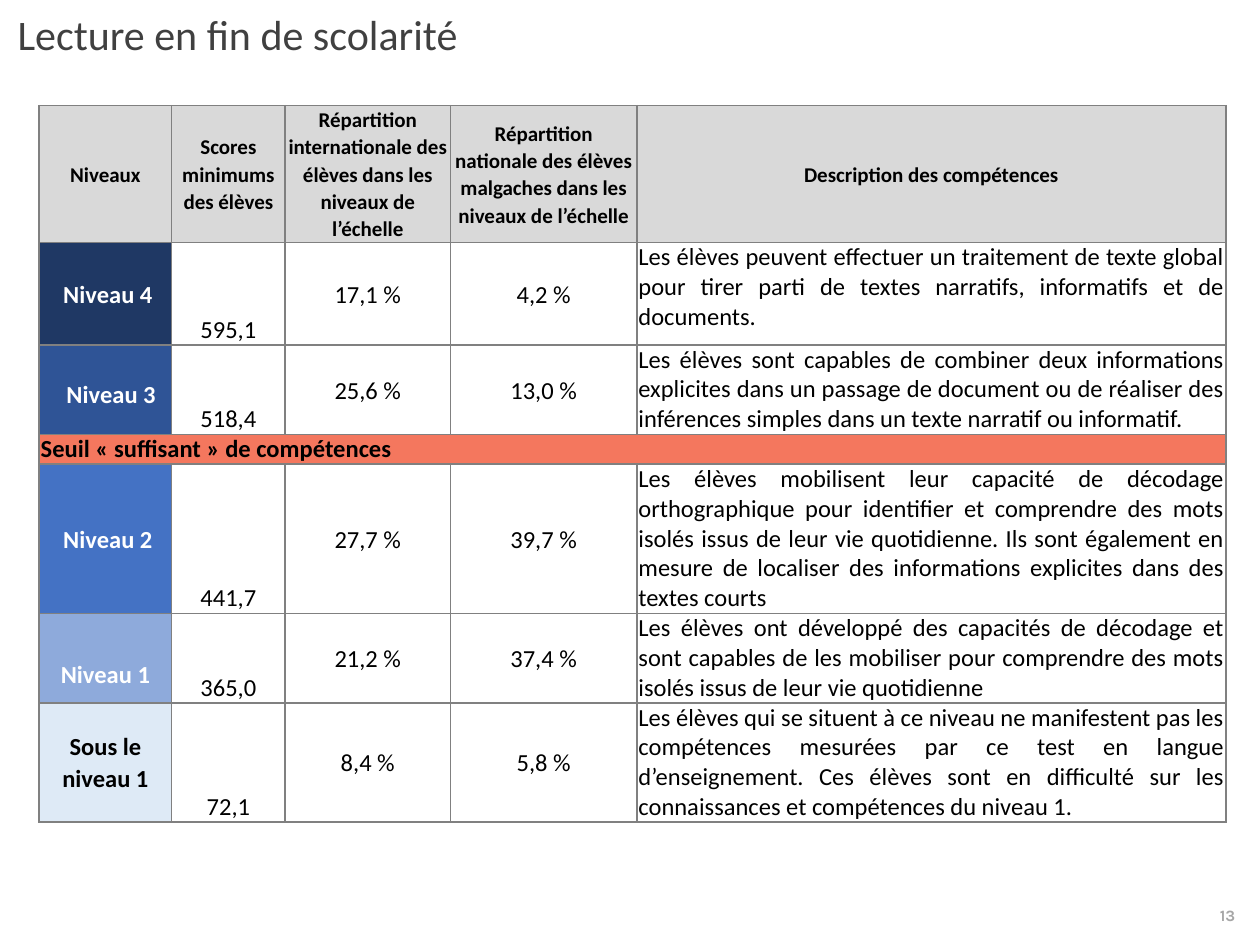
"""Build the slide on reading levels at the end of primary school."""
from lxml import etree
from pptx import Presentation
from pptx import util as u
from pptx.dml.color import RGBColor
from pptx.enum import text
from pptx.oxml.ns import qn

CENTER, JUSTIFY = text.PP_ALIGN.CENTER, text.PP_ALIGN.JUSTIFY
TOP, MIDDLE, BOTTOM = text.MSO_ANCHOR.TOP, text.MSO_ANCHOR.MIDDLE, text.MSO_ANCHOR.BOTTOM


def write(frame, wording, size, color="000000", bold=False, align=CENTER, font="Calibri", spacing=1.0):
    paragraph = frame.paragraphs[0]
    paragraph.alignment = align
    paragraph.line_spacing = spacing
    paragraph.space_before = u.Pt(0)
    run = paragraph.add_run()
    run.text = wording
    run.font.name, run.font.size, run.font.bold = font, u.Pt(size), bold
    run.font.color.rgb = RGBColor.from_string(color)


def fill_cell(cell, wording, size=14, fill=None, anchor=MIDDLE, left=0.03, top=0, **style):
    cell.margin_left, cell.margin_right = u.Cm(left), u.Cm(0.03)
    cell.margin_top, cell.margin_bottom = u.Cm(top), u.Cm(0)
    cell.vertical_anchor = anchor
    properties = cell._tc.get_or_add_tcPr()
    for side in ("a:lnL", "a:lnR", "a:lnT", "a:lnB"):
        border = etree.SubElement(properties, qn(side), w=str(u.Pt(1)))
        paint = etree.SubElement(border, qn("a:solidFill"))
        etree.SubElement(paint, qn("a:srgbClr"), val="808080")
    if fill:
        cell.fill.solid()
        cell.fill.fore_color.rgb = RGBColor.from_string(fill)
    else:
        cell.fill.background()
    if wording:
        write(cell.text_frame, wording, size, **style)


prs = Presentation()
prs.slide_width, prs.slide_height = u.Cm(25.4), u.Cm(19.05)
slide = prs.slides.add_slide(prs.slide_layouts[5])

title = slide.shapes.title
title.left, title.top, title.width, title.height = u.Cm(0.1), u.Cm(0.05), u.Cm(25.3), u.Cm(1.28)
title.text_frame.vertical_anchor = TOP
write(title.text_frame, "Lecture en fin de scolarité", 24, "404040", align=JUSTIFY)

headings = [
    "Niveaux",
    "Scores minimums des élèves",
    "Répartition internationale des élèves dans les niveaux de l’échelle",
    "Répartition nationale des élèves malgaches dans les niveaux de l’échelle",
    "Description des compétences",
]
levels = [
    ("Niveau 4", "595,1", "17,1 %", "4,2 %",
     "Les élèves peuvent effectuer un traitement de texte global pour tirer parti de textes "
     "narratifs, informatifs et de documents."),
    ("Niveau 3", "518,4", "25,6 %", "13,0 %",
     "Les élèves sont capables de combiner deux informations explicites dans un passage de "
     "document ou de réaliser des inférences simples dans un texte narratif ou informatif."),
    ("Niveau 2", "441,7", "27,7 %", "39,7 %",
     "Les élèves mobilisent leur capacité de décodage orthographique pour identifier et "
     "comprendre des mots isolés issus de leur vie quotidienne. Ils sont également en mesure de "
     "localiser des informations explicites dans des textes courts"),
    ("Niveau 1", "365,0", "21,2 %", "37,4 %",
     "Les élèves ont développé des capacités de décodage et sont capables de les mobiliser pour "
     "comprendre des mots isolés issus de leur vie quotidienne"),
    ("Sous le niveau 1", "72,1", "8,4 %", "5,8 %",
     "Les élèves qui se situent à ce niveau ne manifestent pas les compétences mesurées par ce "
     "test en langue d’enseignement. Ces élèves sont en difficulté sur les connaissances et "
     "compétences du niveau 1."),
]
level_looks = [
    ("1F3864", "FFFFFF", 0.13, 0),
    ("2F5496", "FFFFFF", 0.26, 0.18),
    ("4472C4", "FFFFFF", 0.13, 0),
    ("8EAADB", "FFFFFF", 0.03, 0.66),
    ("DEEAF6", "000000", 0.03, 0),
]
column_widths = [2.67, 2.29, 3.33, 3.76, 11.87]
row_heights = [2.11, 2.06, 1.73, 0.58, 2.31, 1.73, 2.31]
threshold_row = 3

grid = slide.shapes.add_table(len(row_heights), len(column_widths),
                              u.Cm(0.79), u.Cm(2.13), u.Cm(23.92), u.Cm(12.83)).table
grid.first_row = grid.horz_banding = False
for column, width in zip(grid.columns, column_widths):
    column.width = u.Cm(width)
for row, height in zip(grid.rows, row_heights):
    row.height = u.Cm(height)

for column, heading in enumerate(headings):
    fill_cell(grid.cell(0, column), heading, 12, "D9D9D9", bold=True, spacing=1.07)

for column in range(len(headings)):
    wording = "" if column else "Seuil « suffisant » de compétences"
    fill_cell(grid.cell(threshold_row, column), wording, fill="F4775E", bold=True, align=JUSTIFY)
grid.cell(threshold_row, 0).merge(grid.cell(threshold_row, len(headings) - 1))

level_rows = [1, 2, 4, 5, 6]
for row, (name, score, world, country, skills), look in zip(level_rows, levels, level_looks):
    fill, color, left, top = look
    fill_cell(grid.cell(row, 0), name, fill=fill, color=color, left=left, top=top,
              bold=True, spacing=1.07)
    fill_cell(grid.cell(row, 1), score, anchor=BOTTOM, spacing=1.07)
    fill_cell(grid.cell(row, 2), world, spacing=1.07)
    fill_cell(grid.cell(row, 3), country, spacing=1.07)
    fill_cell(grid.cell(row, 4), skills, anchor=TOP, align=JUSTIFY)

page_number = slide.shapes.add_textbox(u.Cm(24.21), u.Cm(18.14), u.Cm(1.07), u.Cm(0.64))
page_number.text_frame.word_wrap = True
write(page_number.text_frame, "13", 9, "A6A6A6", True, font="Karla")

prs.save("out.pptx")
